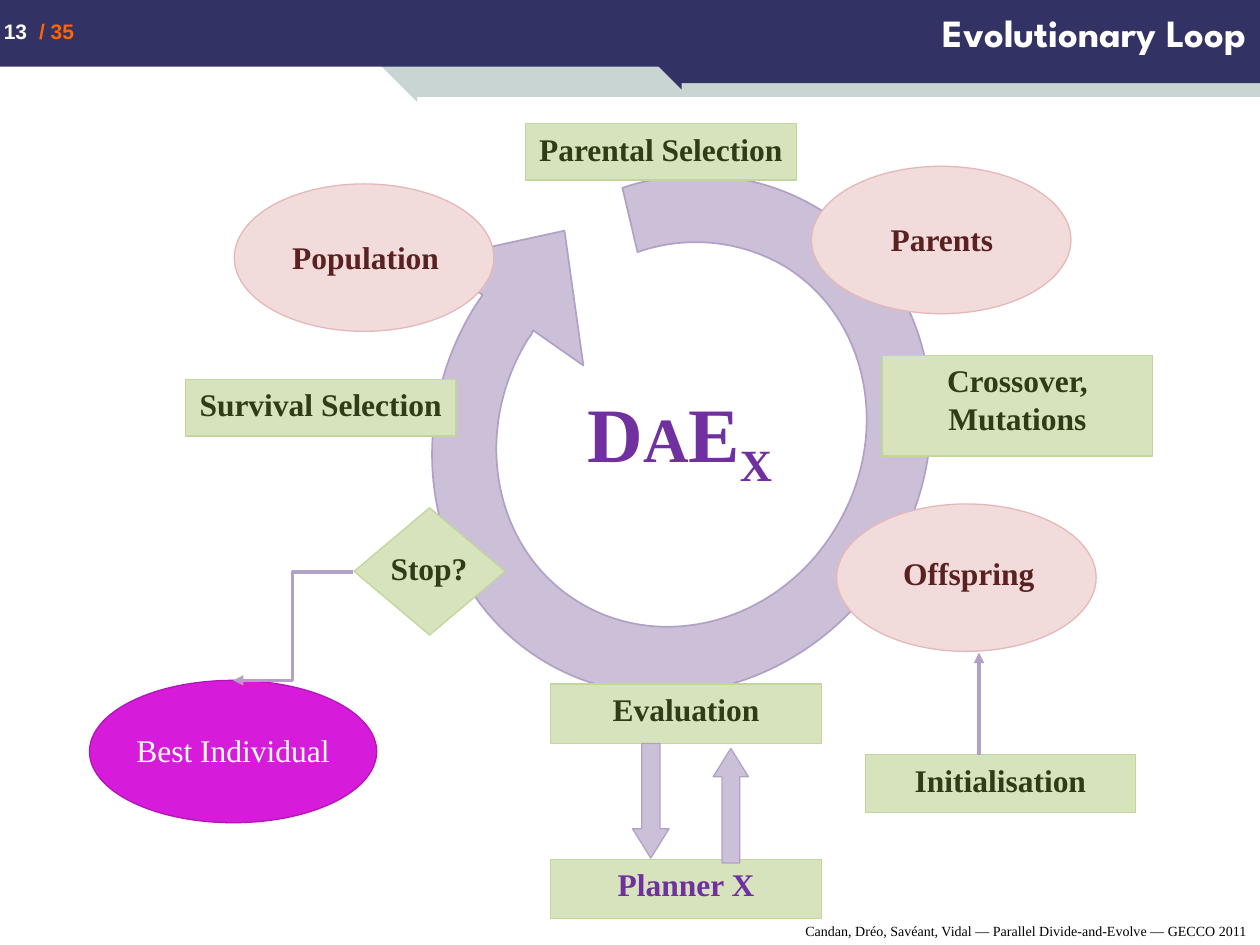
"""Build the evolutionary loop slide."""
import math

import pptx
import pptx.dml.color
import pptx.enum.shapes
import pptx.enum.text
import pptx.oxml
import pptx.oxml.ns
import pptx.util

SCALE = 9144
COLOURS = {
    "navy": "323265", "mist": "C8D5D3", "white": "FFFFFF", "black": "000000",
    "orange": "FF6600", "purple": "7030A0", "lilac": "CCC0D9", "lilac edge": "B2A1C7",
    "green": "D6E3BC", "green edge": "C2D69B", "forest": "303C18",
    "pink": "F2DBDB", "pink edge": "E5B8B7", "maroon": "5A2120",
    "magenta": "D61BDB", "magenta edge": "B216B6",
}
RGB = {name: pptx.dml.color.RGBColor.from_string(code) for name, code in COLOURS.items()}
KIND = pptx.enum.shapes.MSO_SHAPE
ALIGN = pptx.enum.text.PP_ALIGN
LABEL = {"name": "Times New Roman", "size": pptx.util.Pt(18), "bold": True}
NAMESPACE = pptx.oxml.ns.nsdecls("a")

presentation = pptx.Presentation()
presentation.slide_width = 1000 * SCALE
presentation.slide_height = 750 * SCALE
slide = presentation.slides.add_slide(presentation.slide_layouts[6])


def add_box(kind, box, fill=None, edge=None, rotation=0):
    lengths = [length * SCALE for length in box]
    if kind is None:
        return slide.shapes.add_textbox(*lengths)
    shape = slide.shapes.add_shape(kind, *lengths)
    shape.shadow.inherit = False
    shape.rotation = rotation
    shape.fill.solid()
    shape.fill.fore_color.rgb = RGB[fill]
    if edge:
        shape.line.color.rgb = RGB[edge]
        shape.line.width = pptx.util.Pt(0.75)
    else:
        shape.line.fill.background()
    return shape


def write(shape, lines, colour, align=ALIGN.CENTER, margins=(10, 5), wrap=True, **changes):
    frame = shape.text_frame
    settings = {
        "word_wrap": wrap, "vertical_anchor": pptx.enum.text.MSO_ANCHOR.TOP,
        "margin_left": margins[0] * SCALE, "margin_right": margins[0] * SCALE,
        "margin_top": margins[1] * SCALE, "margin_bottom": margins[1] * SCALE,
    }
    for name, value in settings.items():
        setattr(frame, name, value)
    for index, line in enumerate(lines):
        paragraph = frame.add_paragraph() if index else frame.paragraphs[0]
        paragraph.alignment = align
        run = paragraph.add_run()
        run.text = line
        for name, value in {**LABEL, **changes}.items():
            setattr(run.font, name, value)
        run.font.color.rgb = RGB[colour]
    return frame.paragraphs[0]


for kind, box, fill, rotation in [
    (KIND.RIGHT_TRIANGLE, (298, 48, 33, 33), "mist", 180),
    (KIND.RECTANGLE, (331, 50, 669, 27), "mist", 0),
    (KIND.RECTANGLE, (0, 0, 1000, 53), "navy", 0),
    (KIND.RIGHT_TRIANGLE, (513, 43, 28, 28), "navy", 180),
    (KIND.RECTANGLE, (540, 40, 460, 26), "navy", 0),
]:
    add_box(kind, box, fill, rotation=rotation)

page = add_box(KIND.RECTANGLE, (3, 15, 118, 20), "navy")
page_format = {"name": "Arial", "size": pptx.util.Pt(12)}
paragraph = write(page, ["13"], "white", ALIGN.LEFT, (0, 0), **page_format)
paragraph._p.get_or_add_pPr().append(pptx.oxml.parse_xml(
    f'<a:tabLst {NAMESPACE}><a:tab pos="{28 * SCALE}" algn="l"/></a:tabLst>'))
total = paragraph.add_run()
total.text = "\t/ 35"
for name, value in {**LABEL, **page_format}.items():
    setattr(total.font, name, value)
total.font.color.rgb = RGB["orange"]

write(add_box(None, (625, 727, 375, 23)),
      ["Candan, Dréo, Savéant, Vidal — Parallel Divide-and-Evolve — GECCO 2011"],
      "black", ALIGN.RIGHT, wrap=False, size=pptx.util.Pt(8), bold=False)
write(add_box(None, (89, 7, 910, 37)), ["Evolutionary Loop"], "white", ALIGN.RIGHT,
      (10, 0), name="League Spartan", size=pptx.util.Pt(22))

centre = add_box(KIND.RECTANGLE, (449, 301, 181, 85), "white")
paragraph = write(centre, ["D"], "purple", size=pptx.util.Pt(44))
for letter, size, baseline in [("A", 36, 0), ("E", 44, 0), ("X", 44, -25000)]:
    run = paragraph.add_run()
    run.text = letter
    for name, value in {**LABEL, "size": pptx.util.Pt(size)}.items():
        setattr(run.font, name, value)
    run.font.color.rgb = RGB["purple"]
    if baseline:
        run._r.get_or_add_rPr().set("baseline", str(baseline))

ring = [
    [(423, 262)],
    [(422, 265), (421, 267), (419, 269)], [(374, 342), (391, 435), (458, 477)],
    [(525, 519), (617, 494), (662, 421)], [(708, 348), (691, 254), (624, 212)],
    [(589, 191), (546, 186), (506, 200)], [(494, 149)],
    [(548, 131), (606, 138), (652, 167)], [(743, 223), (766, 349), (705, 447)],
    [(643, 546), (520, 580), (429, 523)], [(339, 467), (316, 341), (377, 243)],
    [(379, 240), (381, 237), (383, 234)], [(343, 206)], [(448, 183)], [(463, 290)],
]
left, top, width, height = 348, 135, 386, 421
TURN = 212
cosine, sine = math.cos(math.radians(TURN)), math.sin(math.radians(TURN))
segments = []
for segment in ring:
    offsets = [(x - left - width / 2, y - top - height / 2) for x, y in segment]
    segments.append([(round((x * cosine + y * sine + width / 2) * SCALE),
                      round((y * cosine - x * sine + height / 2) * SCALE))
                     for x, y in offsets])
builder = slide.shapes.build_freeform(*segments[0][0])
builder.add_line_segments([segment[-1] for segment in segments[1:]])
loop_arrow = builder.convert_to_shape()
outline = loop_arrow._element.spPr.find(".//" + pptx.oxml.ns.qn("a:path"))
outline.set("w", str(width * SCALE))
outline.set("h", str(height * SCALE))
straight_lines = outline.findall(pptx.oxml.ns.qn("a:lnTo"))
start = outline.find(pptx.oxml.ns.qn("a:moveTo"))[0]
start.set("x", str(segments[0][0][0]))
start.set("y", str(segments[0][0][1]))
for straight_line, segment in zip(straight_lines, segments[1:]):
    tag = "cubicBezTo" if len(segment) == 3 else "lnTo"
    points = "".join(f'<a:pt x="{x}" y="{y}"/>' for x, y in segment)
    outline.replace(straight_line, pptx.oxml.parse_xml(
        f"<a:{tag} {NAMESPACE}>{points}</a:{tag}>"))
for name, value in {"left": left, "top": top, "width": width, "height": height}.items():
    setattr(loop_arrow, name, value * SCALE)
loop_arrow.rotation = TURN
loop_arrow.shadow.inherit = False
loop_arrow.fill.solid()
loop_arrow.fill.fore_color.rgb = RGB["lilac"]
loop_arrow.line.color.rgb = RGB["lilac edge"]
loop_arrow.line.width = pptx.util.Pt(1)

for lines, box, colour in [
    (["Planner X"], (437, 682, 215, 47), "purple"),
    (["Crossover,", "Mutations"], (700, 282, 215, 80), "forest"),
    (["Parental Selection"], (417, 98, 215, 45), "forest"),
    (["Evaluation"], (437, 543, 215, 47), "forest"),
    (["Initialisation"], (687, 599, 214, 46), "forest"),
    (["Survival Selection"], (147, 301, 215, 45), "forest"),
]:
    write(add_box(KIND.RECTANGLE, box, "green", "green edge"), lines, colour)

for label, kind, box, fill, text_box, colour, align in [
    ("Population", KIND.OVAL, (186, 146, 206, 117), "pink",
     (222, 184, 137, 41), "maroon", ALIGN.LEFT),
    ("Offspring", KIND.OVAL, (664, 400, 206, 117), "pink",
     (707, 435, 132, 47), "maroon", ALIGN.LEFT),
    ("Parents", KIND.OVAL, (644, 132, 206, 117), "pink",
     (697, 170, 113, 40), "maroon", ALIGN.LEFT),
    ("Stop?", KIND.DIAMOND, (281, 403, 120, 101), "green",
     (278, 431, 125, 46), "forest", ALIGN.CENTER),
    ("Best Individual", KIND.OVAL, (71, 540, 228, 113), "magenta",
     (51, 575, 268, 43), "white", ALIGN.CENTER),
]:
    add_box(kind, box, fill, f"{fill} edge")
    write(add_box(None, text_box), [label], colour, align, bold=fill != "magenta")

for box, rotation in [((502, 590, 29, 91), 0), ((566, 594, 28, 91), 180)]:
    arrow = add_box(KIND.DOWN_ARROW, box, "lilac", "lilac edge", rotation)
    arrow.adjustments[0] = 0.5
    arrow.adjustments[1] = 0.8

CONNECTOR = pptx.enum.shapes.MSO_CONNECTOR
for kind, ends in [(CONNECTOR.STRAIGHT, (777, 599, 777, 518)),
                   (CONNECTOR.ELBOW, (280, 454, 185, 540))]:
    connector = slide.shapes.add_connector(kind, *[length * SCALE for length in ends])
    connector.line.color.rgb = RGB["lilac edge"]
    connector.line.width = pptx.util.Pt(1.75)
    line = connector.line._get_or_add_ln()
    for parent, tag in [(line, '<a:tailEnd {} type="triangle"/>'),
                        (connector._element.spPr, "<a:effectLst {}/>")]:
        parent.append(pptx.oxml.parse_xml(tag.format(NAMESPACE)))

presentation.save("out.pptx")
